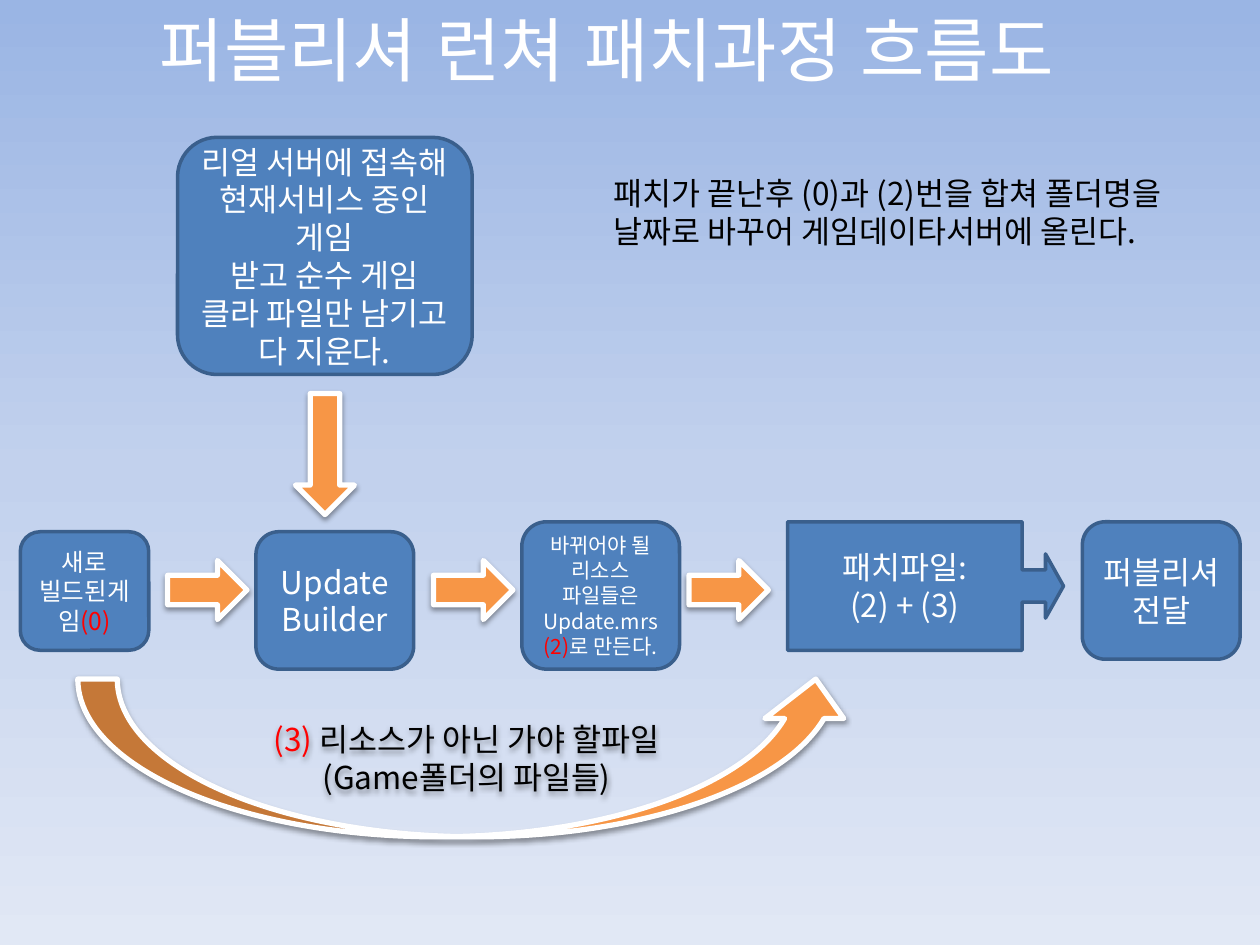
from lxml import etree
from pptx import Presentation
from pptx import util as u
from pptx.dml import color
from pptx.enum import shapes, text
from pptx.oxml import ns

FONT = "Noto Sans CJK KR"
WHITE, BLACK, RED = "FFFFFF", "000000", "FF0000"
BLUE, NAVY, ORANGE = "4F81BD", "3A5F8C", "F79646"
KIND = shapes.MSO_SHAPE


def paint(target, code):
    """Give a fill or a colour format a hex colour."""
    if hasattr(target, "solid"):
        target.solid()
        target = target.fore_color
    target.rgb = color.RGBColor.from_string(code)


def add_node(parent, tag, **attrs):
    """Append a drawing element with attributes."""
    node = etree.SubElement(parent, ns.qn(tag))
    for key, value in attrs.items():
        node.set(key, str(value))
    return node


def add_back(slide, stops):
    """Fill the slide background with a vertical gradient."""
    fill = slide.background.fill
    fill.gradient()
    fill.gradient_angle = 270
    grid = next(slide.element.iter(ns.qn("a:gsLst")))
    for node in list(grid):
        grid.remove(node)
    for place, code in stops:
        stop = add_node(grid, "a:gs", pos=place * 1000)
        add_node(stop, "a:srgbClr", val=code)


def write(frame, lines, size, align, font=FONT):
    """Write paragraphs made of (text, colour) runs."""
    frame.word_wrap = True
    frame.text = "\n".join("" for _ in lines)
    for para, parts in zip(frame.paragraphs, lines):
        para.alignment = align
        for words, code in parts:
            for i, piece in enumerate(words.split("\v")):
                if i:
                    para.add_line_break()
                run = para.add_run()
                run.text = piece
                run.font.size = u.Pt(size)
                run.font.name = font
                paint(run.font.color, code)
                add_node(run.font._element, "a:ea", typeface=font)


def add_form(slide, kind, box, fill, edge, width):
    """Add a filled and outlined preset shape."""
    form = slide.shapes.add_shape(kind, *map(u.Cm, box))
    form.shadow.inherit = False
    paint(form.fill, fill)
    paint(form.line.fill, edge)
    form.line.width = u.Pt(width)
    return form


def add_step(slide, box, lines, size=18, kind=KIND.ROUNDED_RECTANGLE):
    """Add a blue step with centred text."""
    step = add_form(slide, kind, box, BLUE, NAVY, 2)
    step.text_frame.vertical_anchor = text.MSO_ANCHOR.MIDDLE
    write(step.text_frame, lines, size, text.PP_ALIGN.CENTER)
    return step


def add_arrow(slide, box, kind=KIND.RIGHT_ARROW, turn=0):
    """Add an orange block arrow with a soft shadow."""
    arrow = add_form(slide, kind, box, ORANGE, WHITE, 3)
    arrow.rotation = turn
    glow = arrow._element.spPr.find(ns.qn("a:effectLst"))
    shade = add_node(glow, "a:outerShdw", blurRad=u.Pt(3.1), dist=u.Pt(1.6),
                     dir=5400000, rotWithShape=0)
    tint = add_node(shade, "a:srgbClr", val=BLACK)
    add_node(tint, "a:alpha", val=38000)
    return arrow


def add_title(slide, words):
    """Place and format the slide title."""
    title = slide.shapes.title
    title.left, title.top, title.width, title.height = map(
        u.Cm, (2.97, 0, 20.55, 1.96))
    frame = title.text_frame
    write(frame, [[(words, WHITE)]], 40, text.PP_ALIGN.LEFT, "Arial")
    frame.vertical_anchor = text.MSO_ANCHOR.TOP
    frame.auto_size = text.MSO_AUTO_SIZE.NONE


def add_note(slide, box, words):
    """Add a plain black note."""
    note = slide.shapes.add_textbox(*map(u.Cm, box))
    write(note.text_frame, [[(words, BLACK)]], 18, text.PP_ALIGN.LEFT)


def main():
    """Build the patch flow slide."""
    deck = Presentation()
    deck.slide_width, deck.slide_height = u.Cm(25.4), u.Cm(19.05)
    slide = deck.slides.add_slide(deck.slide_layouts[5])
    add_back(slide, [(0, "9AB5E4"), (50, "C2D1ED"), (100, "E1E8F5")])
    add_title(slide, "퍼블리셔 런쳐 패치과정 흐름도")

    add_step(slide, (3.58, 2.77, 5.94, 4.78), [
        [("리얼 서버에 접속해 현재서비스 중인 게임", WHITE)],
        [("받고 순수 게임 클라 파일만 남기고 다 지운다.", WHITE)]])
    add_step(slide, (0.41, 10.72, 2.59, 2.39),
             [[("새로 빌드된게임", WHITE), ("(0)", RED)]], 14)
    add_step(slide, (5.16, 10.72, 3.18, 2.77), [[("Update\vBuilder", WHITE)]])
    add_step(slide, (10.52, 10.52, 3.18, 2.97), [
        [("바뀌어야 될 리소스 파일들은 Update.mrs", WHITE), ("(2)", RED),
         ("로 만든다.", WHITE)]], 12)
    patch = add_step(slide, (15.88, 10.52, 5.56, 2.59), [
        [("패치파일:", WHITE)], [("(2) + (3)", WHITE)]],
        kind=KIND.RIGHT_ARROW_CALLOUT)
    for i, ratio in enumerate((0.25, 0.25, 0.14, 0.85)):
        patch.adjustments[i] = ratio
    add_step(slide, (21.82, 10.52, 3.18, 2.77), [[("퍼블리셔 전달", WHITE)]])

    add_arrow(slide, (5.33, 8.56, 2.44, 1.19), turn=90)
    for left in (3.38, 8.74, 13.89):
        add_arrow(slide, (left, 11.3, 1.6, 1.19))
    curve = add_arrow(slide, (1.57, 13.69, 15.67, 3.18), KIND.CURVED_UP_ARROW)
    curve.text_frame.vertical_anchor = text.MSO_ANCHOR.MIDDLE
    write(curve.text_frame, [
        [("(3) ", RED), ("리소스가 아닌 가야 할파일", BLACK)],
        [("(Game폴더의 파일들)", BLACK)]], 18, text.PP_ALIGN.CENTER)

    add_note(slide, (12.12, 3.38, 12.7, 2.57),
             "패치가 끝난후 (0)과 (2)번을 합쳐 폴더명을 날짜로 바꾸어 "
             "게임데이타서버에 올린다.")
    deck.save("out.pptx")


main()
